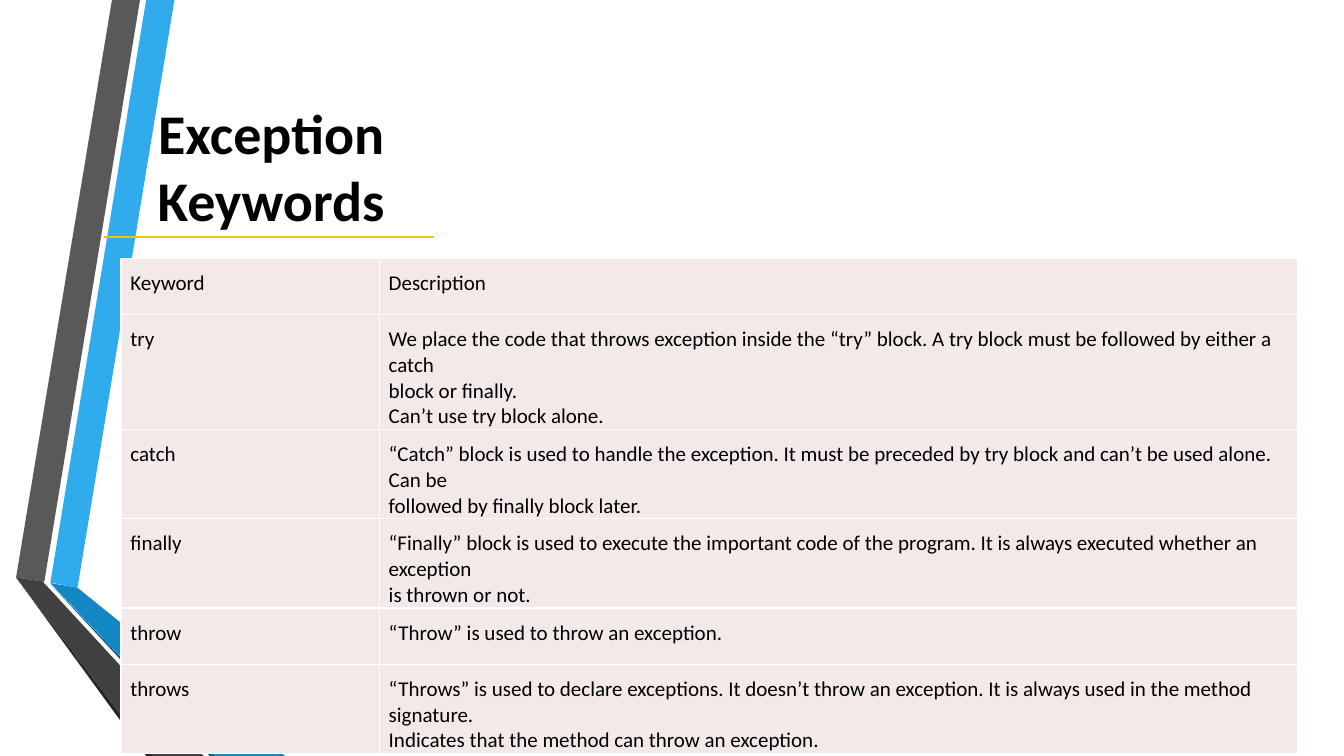
from lxml import etree
from pptx import Presentation
from pptx.dml.color import RGBColor as RGB
from pptx.enum.shapes import MSO_CONNECTOR as Link
from pptx.enum.text import MSO_ANCHOR as Anchor, MSO_AUTO_SIZE as Fit, PP_ALIGN as Align
from pptx.oxml import parse_xml
from pptx.oxml.ns import nsdecls, qn
from pptx.util import Pt

BLACK = RGB(0x00, 0x00, 0x00)
WHITE = RGB(0xFF, 0xFF, 0xFF)
GOLD = RGB(0xFF, 0xC0, 0x00)
ROSE = RGB(0xF4, 0xE9, 0xE9)
SKY = RGB(0x30, 0xAC, 0xEC)
BLUE = RGB(0x12, 0x87, 0xC3)
NAVY = RGB(0x0C, 0x5A, 0x82)
GREY = RGB(0x59, 0x59, 0x59)
COAL = RGB(0x40, 0x40, 0x40)
DARK = RGB(0x26, 0x26, 0x26)

# Folded bands at the left edge: colour and corners in points
BANDS = [
    (SKY, [(36, 416.2), (55.4, 419.8), (124.6, 0), (104.4, 0)]),
    (GREY, [(100, 0), (80, 0), (11.5, 412.5), (31.7, 415.5)]),
    (DARK, [(11.5, 412.5), (104.4, 540), (108.7, 540)]),
    (NAVY, [(36, 417), (149.8, 540), (154.1, 540)]),
    (BLUE, [(36, 416.5), (154.1, 540), (203.8, 540), (55.4, 419.8)]),
    (COAL, [(145.4, 540), (34.6, 419.8), (31, 416), (31.7, 415.5),
            (11.5, 412.5), (108.7, 540)]),
]

# Row height, keyword, description
ROWS = [
    (40.3, "Keyword", "Description"),
    (72, "try",
     "We place the code that throws exception inside the “try” block. "
     "A try block must be followed by either a catch\n"
     "block or finally.\n"
     "Can’t use try block alone."),
    (54.7, "catch",
     "“Catch” block is used to handle the exception. It must be preceded "
     "by try block and can’t be used alone. Can be\n"
     "followed by finally block later."),
    (54.7, "finally",
     "“Finally” block is used to execute the important code of the program. "
     "It is always executed whether an exception\n"
     "is thrown or not."),
    (40.3, "throw", "“Throw” is used to throw an exception."),
    (54.7, "throws",
     "“Throws” is used to declare exceptions. It doesn’t throw an exception. "
     "It is always used in the method signature.\n"
     "Indicates that the method can throw an exception."),
]


def put(item, form):
    for name, value in form.items():
        setattr(item, name, value)


class Page:
    head = {"name": "Calibri", "size": Pt(40), "bold": True}
    body = {"name": "Calibri", "size": Pt(15), "bold": False}
    frame = {"margin_left": 0, "margin_top": Pt(1.3), "margin_right": 0,
             "margin_bottom": 0, "word_wrap": True, "auto_size": Fit.NONE,
             "vertical_anchor": Anchor.MIDDLE}
    pad = {"margin_left": Pt(6.8), "margin_top": Pt(8.6), "margin_right": 0,
           "margin_bottom": 0, "vertical_anchor": Anchor.TOP}

    def __init__(self, deck):
        self.slide = deck.slides.add_slide(deck.slide_layouts[5])
        self.shapes = self.slide.shapes

    def label(self, frame, text, font, align):
        frame.text = text
        for para in frame.paragraphs:
            para.alignment = align
            for run in para.runs:
                put(run.font, font)
                run.font.color.rgb = BLACK

    def band(self, color, spots):
        spots = [(Pt(x), Pt(y)) for x, y in spots]
        pen = self.shapes.build_freeform(*spots[0])
        pen.add_line_segments(spots[1:], close=True)
        shape = pen.convert_to_shape()
        shape.shadow.inherit = False
        shape.fill.solid()
        shape.fill.fore_color.rgb = color
        shape.line.fill.background()

    def title(self, text, left, top, width, height):
        box = self.shapes.title
        put(box, {"left": Pt(left), "top": Pt(top),
                  "width": Pt(width), "height": Pt(height)})
        put(box.text_frame, self.frame)
        self.label(box.text_frame, text, self.head, Align.CENTER)
        # Bring the title in front of the bands
        self.shapes.element.append(box.element)

    def rule(self, left, right, y, color):
        line = self.shapes.add_connector(
            Link.STRAIGHT, Pt(left), Pt(y), Pt(right), Pt(y))
        line.line.color.rgb = color
        line.line.width = Pt(1.5)
        etree.SubElement(line.element.spPr, qn("a:effectLst"))

    def cell(self, cell, text):
        put(cell, self.pad)
        self.label(cell.text_frame, text, self.body, Align.LEFT)
        for side in "LRTB":
            cell._tc.get_or_add_tcPr().append(parse_xml(
                f'<a:ln{side} {nsdecls("a")} w="12700"><a:solidFill>'
                f'<a:srgbClr val="{WHITE}"/></a:solidFill></a:ln{side}>'))
        cell.fill.solid()
        cell.fill.fore_color.rgb = ROSE

    def table(self, rows, left, top, widths):
        high = sum(row[0] for row in rows)
        grid = self.shapes.add_table(
            len(rows), len(widths), Pt(left), Pt(top),
            Pt(sum(widths)), Pt(high)).table
        put(grid, {"first_row": False, "horz_banding": False})
        for col, width in zip(grid.columns, widths):
            col.width = Pt(width)
        for row, (height, *texts) in zip(grid.rows, rows):
            row.height = Pt(height)
            for cell, text in zip(row.cells, texts):
                self.cell(cell, text)


def main():
    deck = Presentation()
    put(deck, {"slide_width": Pt(960), "slide_height": Pt(540)})
    page = Page(deck)

    # Side bands
    for color, spots in BANDS:
        page.band(color, spots)

    # Title and its rule
    page.title("Exception Keywords", 77.8, 59, 231.8, 117.4)
    page.rule(74.2, 310.3, 169.2, GOLD)

    # Keyword table
    page.table(ROWS, 86.4, 184.5, [184.5, 655.8])

    deck.save("out.pptx")


if __name__ == "__main__":
    main()
